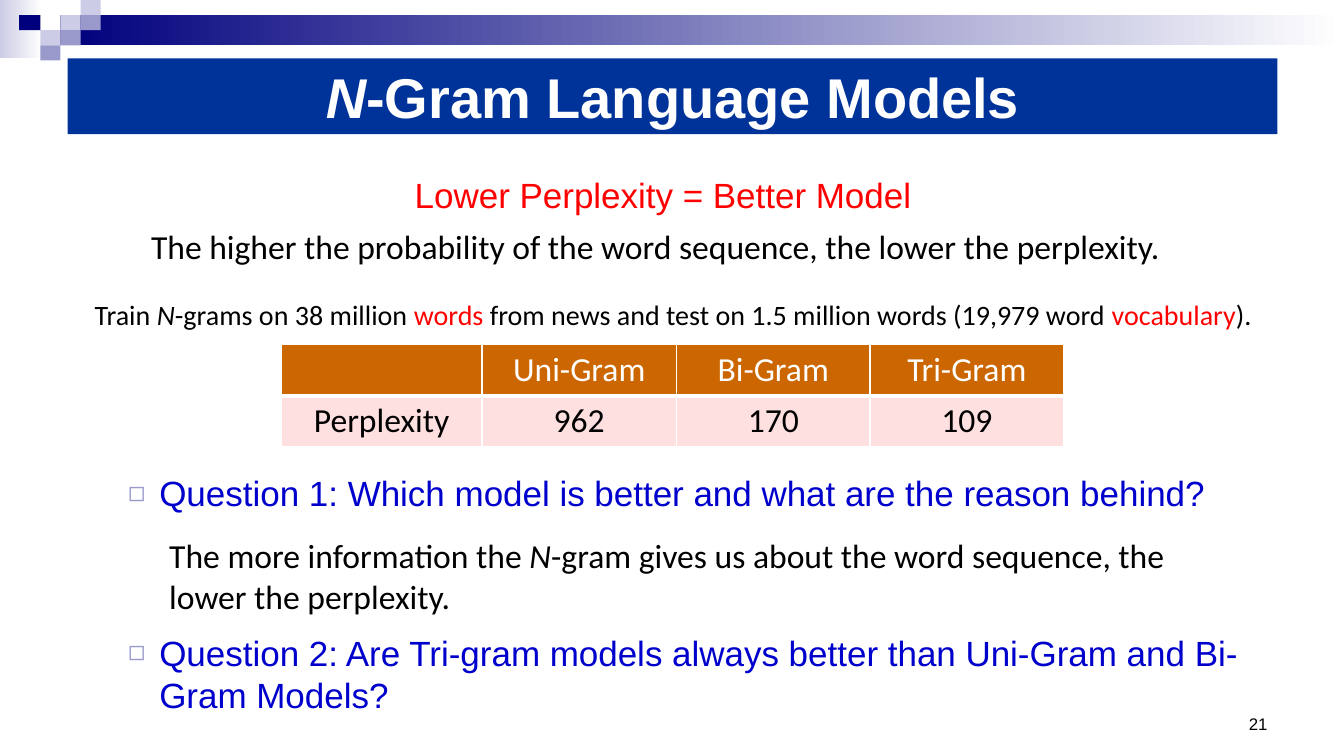
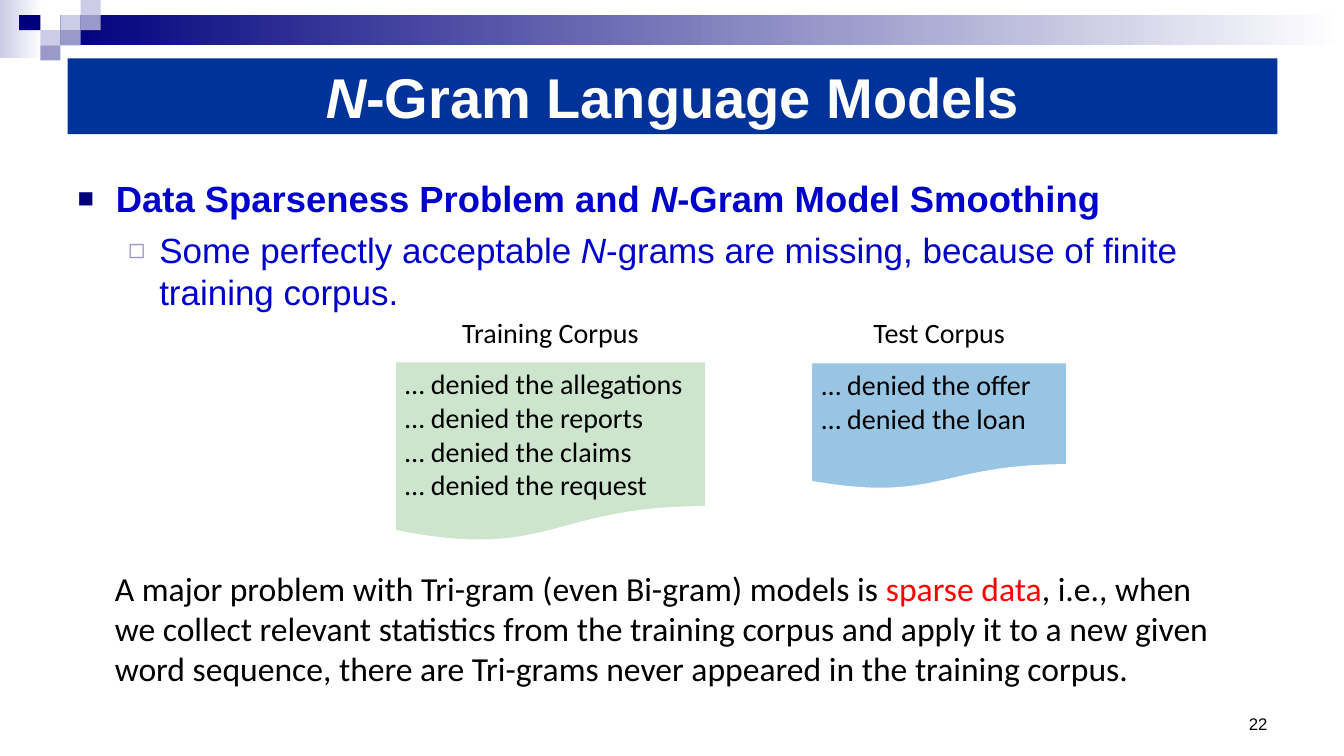
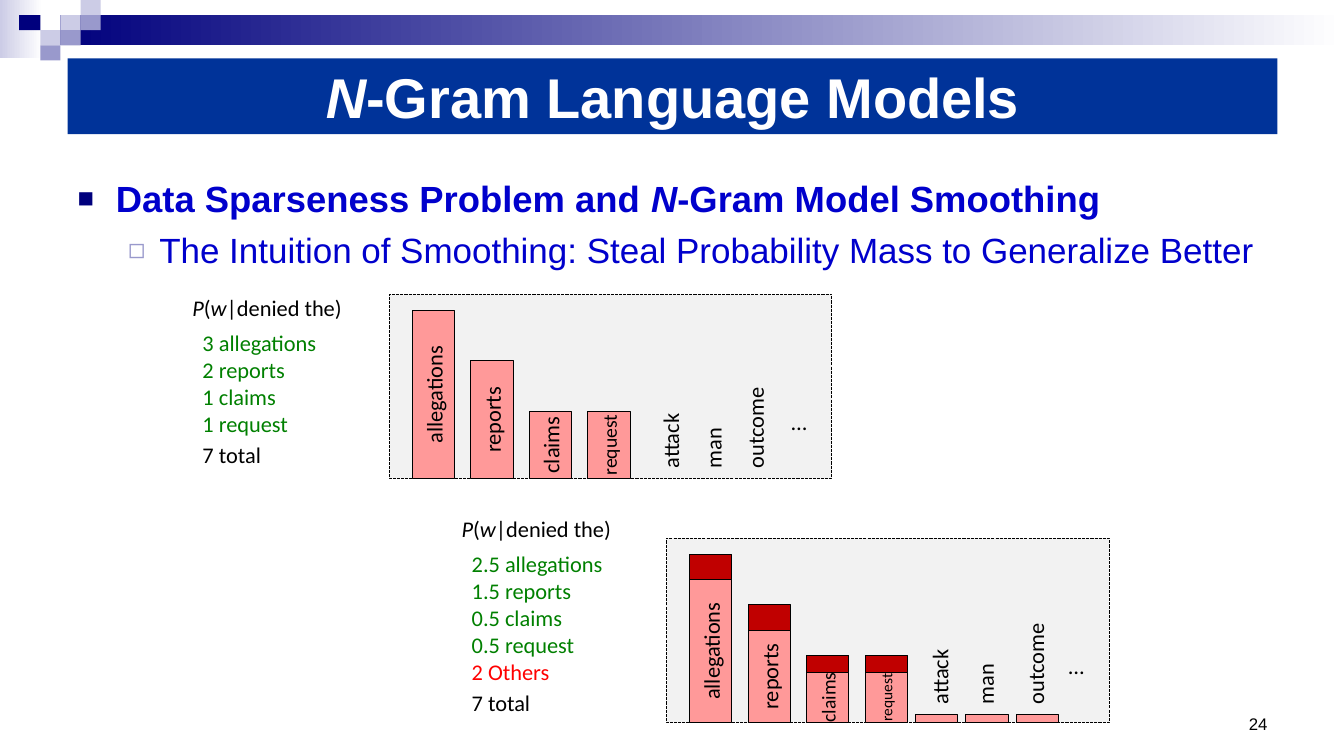
from dataclasses import dataclass
from typing import NamedTuple

from lxml import etree
from pptx import Presentation
from pptx.dml.color import RGBColor
from pptx.enum.dml import MSO_LINE
from pptx.enum.shapes import MSO_SHAPE
from pptx.enum.text import MSO_ANCHOR, MSO_AUTO_SIZE, PP_ALIGN
from pptx.oxml.ns import qn
from pptx.util import Inches, Pt

RECTANGLE = MSO_SHAPE.RECTANGLE
DOCUMENT = MSO_SHAPE.FLOWCHART_DOCUMENT
LEFT, CENTER, RIGHT = PP_ALIGN.LEFT, PP_ALIGN.CENTER, PP_ALIGN.RIGHT
TOP, MIDDLE, BOTTOM = MSO_ANCHOR.TOP, MSO_ANCHOR.MIDDLE, MSO_ANCHOR.BOTTOM
NO_AUTO_SIZE = MSO_AUTO_SIZE.NONE
SHORT_DASH = MSO_LINE.SQUARE_DOT

BLACK = RGBColor(0x00, 0x00, 0x00)
WHITE = RGBColor(0xFF, 0xFF, 0xFF)
RED = RGBColor(0xFF, 0x00, 0x00)
DARK_RED = RGBColor(0xC0, 0x00, 0x00)
SALMON = RGBColor(0xFF, 0x99, 0x99)
PINK = RGBColor(0xFF, 0xCC, 0xCC)
ORANGE = RGBColor(0xCC, 0x66, 0x00)
GREEN = RGBColor(0x00, 0x80, 0x00)
SKY = RGBColor(0x00, 0x70, 0xC0)
BLUE = RGBColor(0x00, 0x00, 0xCC)
TITLE_BLUE = RGBColor(0x00, 0x33, 0x99)
NAVY = RGBColor(0x00, 0x00, 0x7D)
LAVENDER = RGBColor(0x99, 0x99, 0xCC)
PALE_LAVENDER = RGBColor(0xCC, 0xCC, 0xE6)
PANEL_GRAY = RGBColor(0xF2, 0xF2, 0xF2)

HEADING_FONT = "Arial"
TEXT_FONT = "Calibri"


class Box(NamedTuple):
    left: float
    top: float
    width: float
    height: float


class Run(NamedTuple):
    text: str
    italic: bool = False
    color: RGBColor | None = None


class Bullet(NamedTuple):
    character: str
    color: RGBColor
    percent: int


@dataclass(frozen=True)
class Paragraph:
    runs: tuple[Run, ...]
    size: float
    color: RGBColor = BLACK
    font: str = TEXT_FONT
    bold: bool = False
    alignment: PP_ALIGN = LEFT
    before: float = 0
    after: float = 0
    margin: float = 0
    hanging: float = 0
    level: int = 0
    bullet: Bullet | None = None


@dataclass(frozen=True)
class Bar:
    label: str
    height: float
    kept_height: float
    size: float
    kept_size: float


@dataclass(frozen=True)
class Distribution:
    panel: Box
    list_box: Box
    counts: tuple[str, ...]
    others: tuple[str, ...]
    label_centers: tuple[float, ...]
    label_middle: float
    smoothed: bool


SQUARES = (
    (Box(0.6, 0.15, 0.2, 0.15), PALE_LAVENDER),
    (Box(0.8, 0, 0.2, 0.15), PALE_LAVENDER),
    (Box(0.8, 0.15, 0.2, 0.15), LAVENDER),
    (Box(0.4, 0.3, 0.2, 0.15), PALE_LAVENDER),
    (Box(0.19, 0.15, 0.21, 0.15), NAVY),
    (Box(0.6, 0.3, 0.2, 0.15), LAVENDER),
    (Box(0.4, 0.45, 0.2, 0.15), LAVENDER),
)
GRADIENTS = (
    (Box(0, 0, 0.42, 0.58), PALE_LAVENDER),
    (Box(0.6, 0.15, 12.73, 0.3), NAVY),
)
TITLE_BOX = Box(0.67, 0.58, 12, 0.75)
BODY_BOX = Box(0.67, 1.7, 12, 5.33)
NUMBER_BOX = Box(11.11, 6.83, 1.56, 0.5)

BARS = (
    Bar("allegations", 1.67, 1.42, 16, 16),
    Bar("reports", 1.17, 0.92, 16, 16),
    Bar("claims", 0.67, 0.5, 16, 14),
    Bar("request", 0.67, 0.5, 14, 11),
)
BAR_WIDTH = 0.42
FIRST_BAR_CENTER, BAR_PITCH = 0.44, 0.58
FIRST_UNSEEN_CENTER, UNSEEN_PITCH = 2.68, 0.5
UNSEEN_WORDS = ("attack", "man", "outcome")

DISTRIBUTIONS = (
    Distribution(
        Box(3.86, 2.92, 4.39, 1.83), Box(1.81, 2.87, 2.08, 1.88),
        ("3 allegations", "2 reports", "1 claims", "1 request"), (),
        (2.79, 3.21, 3.63), 1.2, False,
    ),
    Distribution(
        Box(6.61, 5.34, 4.39, 1.83), Box(4.48, 5.06, 2.08, 2.11),
        ("2.5 allegations", "1.5 reports", "0.5 claims", "0.5 request"), ("2 Others",),
        (2.71, 3.16, 3.66), 1.12, True,
    ),
)


def place(shape, box: Box) -> None:
    shape.left, shape.top, shape.width, shape.height = (Inches(value) for value in box)


def set_alpha(element, percent: int) -> None:
    color = next(element.iter(qn("a:srgbClr")))
    etree.SubElement(color, qn("a:alpha")).set("val", str(percent * 1000))


def set_bullet(properties, bullet: Bullet) -> None:
    color = etree.SubElement(properties, qn("a:buClr"))
    etree.SubElement(color, qn("a:srgbClr")).set("val", str(bullet.color))
    etree.SubElement(properties, qn("a:buSzPct")).set("val", str(bullet.percent * 1000))
    etree.SubElement(properties, qn("a:buFont")).set("typeface", HEADING_FONT)
    etree.SubElement(properties, qn("a:buChar")).set("char", bullet.character)


def write(text_frame, contents: list[Paragraph], anchor=TOP, wrap: bool = True) -> None:
    text_frame.word_wrap = wrap
    text_frame.vertical_anchor = anchor
    text_frame.auto_size = NO_AUTO_SIZE
    for index, content in enumerate(contents):
        paragraph = text_frame.add_paragraph() if index else text_frame.paragraphs[0]
        paragraph.level = content.level
        paragraph.alignment = content.alignment
        paragraph.space_before = Pt(content.before)
        paragraph.space_after = Pt(content.after)
        properties = paragraph._p.get_or_add_pPr()
        properties.set("marL", str(Inches(content.margin)))
        properties.set("indent", str(Inches(-content.hanging)))
        if content.bullet:
            set_bullet(properties, content.bullet)
        for item in content.runs:
            run = paragraph.add_run()
            run.text = item.text
            run.font.name = content.font
            run.font.size = Pt(content.size)
            run.font.bold = content.bold
            run.font.italic = item.italic
            run.font.color.rgb = item.color or content.color


def plain(text: str, size: float, **style) -> Paragraph:
    return Paragraph((Run(text),), size, **style)


def heading(*runs: Run) -> Paragraph:
    return Paragraph(runs, 26, BLUE, HEADING_FONT, bold=True, before=6, margin=0.38,
                     hanging=0.38, bullet=Bullet("■", NAVY, 75))


def subheading(*runs: Run, before: float = 6) -> Paragraph:
    return Paragraph(runs, 25, BLUE, HEADING_FONT, before=before, margin=0.81,
                     hanging=0.31, level=1, bullet=Bullet("◻", LAVENDER, 80))


def add_box(slide, box: Box, color: RGBColor | None = None, outline: RGBColor | None = None,
            kind=RECTANGLE):
    shape = slide.shapes.add_shape(kind, *(Inches(value) for value in box))
    shape.shadow.inherit = False
    if color is not None:
        shape.fill.solid()
        shape.fill.fore_color.rgb = color
    if outline is None:
        shape.line.fill.background()
    else:
        shape.line.color.rgb = outline
        shape.line.width = Pt(0.75)
    return shape


def add_text(slide, box: Box, *contents: Paragraph, anchor=TOP):
    shape = slide.shapes.add_textbox(*(Inches(value) for value in box))
    write(shape.text_frame, list(contents), anchor)
    return shape


def add_slide(presentation, number: int, body_box: Box, body: list[Paragraph]):
    slide = presentation.slides.add_slide(presentation.slide_layouts[1])
    for box, color in GRADIENTS:
        fill = add_box(slide, box).fill
        fill.gradient()
        fill.gradient_angle = 0
        for stop, stop_color in zip(fill.gradient_stops, (color, WHITE)):
            stop.color.rgb = stop_color
    for box, color in SQUARES:
        add_box(slide, box, color)
    title = slide.shapes.title
    place(title, TITLE_BOX)
    title.fill.solid()
    title.fill.fore_color.rgb = TITLE_BLUE
    title_runs = (Run("N", italic=True), Run("-Gram Language Models"))
    write(title.text_frame, [Paragraph(title_runs, 40, WHITE, HEADING_FONT, bold=True,
                                       alignment=CENTER, before=6)], MIDDLE)
    placeholder = slide.placeholders[1]
    place(placeholder, body_box)
    write(placeholder.text_frame, body)
    add_text(slide, NUMBER_BOX, plain(str(number), 12, font=HEADING_FONT, alignment=RIGHT),
             anchor=BOTTOM)
    return slide


def set_borders(cell, top: float, bottom: float) -> None:
    properties = cell._tc.get_or_add_tcPr()
    widths = (("a:lnL", 1), ("a:lnR", 1), ("a:lnT", top), ("a:lnB", bottom))
    for index, (tag, width) in enumerate(widths):
        line = etree.Element(qn(tag), w=str(Pt(width)))
        fill = etree.SubElement(line, qn("a:solidFill"))
        etree.SubElement(fill, qn("a:srgbClr")).set("val", str(WHITE))
        properties.insert(index, line)


def add_perplexity_table(slide) -> None:
    rows = (("", "Uni-Gram", "Bi-Gram", "Tri-Gram"), ("Perplexity", "962", "170", "109"))
    box = Box(2.79, 3.42, 7.75, 1)
    table = slide.shapes.add_table(2, 4, *(Inches(value) for value in box)).table
    for column, width in zip(table.columns, (1.99, 1.93, 1.92, 1.92)):
        column.width = Inches(width)
    for row_index, row in enumerate(rows):
        header = row_index == 0
        for column_index, text in enumerate(row):
            cell = table.cell(row_index, column_index)
            cell.fill.solid()
            cell.fill.fore_color.rgb = ORANGE if header else PINK
            if not header:
                set_alpha(cell._tc.tcPr, 60)
            set_borders(cell, 1 if header else 3, 3 if header else 1)
            if text:
                cell.text_frame.text = text
                paragraph = cell.text_frame.paragraphs[0]
                paragraph.alignment = CENTER
                font = paragraph.runs[0].font
                font.name, font.size, font.bold = TEXT_FONT, Pt(24), False
                font.color.rgb = WHITE if header else BLACK


def add_corpus(slide, box: Box, caption: str, color: RGBColor, alpha: int,
               endings: tuple[str, ...]) -> None:
    document = add_box(slide, box, color, WHITE, DOCUMENT)
    set_alpha(document.element.spPr, alpha)
    write(document.text_frame, [plain(f"… denied the {ending}", 20) for ending in endings])
    add_text(slide, Box(box.left, 3.08, box.width, 0.44), plain(caption, 20, alignment=CENTER))


def upright(center: float, middle: float, length: float, thickness: float) -> Box:
    return Box(center - length / 2, middle - thickness / 2, length, thickness)


def add_bar(slide, center: float, bottom: float, height: float, color: RGBColor,
            label: str = "", size: float = 16) -> None:
    box = upright(center, bottom - height / 2, height, BAR_WIDTH)
    bar = add_box(slide, box, color, BLACK)
    bar.rotation = 270
    if label:
        write(bar.text_frame, [plain(label, size, alignment=CENTER)], MIDDLE, wrap=False)


def add_distribution(slide, distribution: Distribution) -> None:
    panel = distribution.panel
    bottom = panel.top + panel.height
    formula = (Run("P", italic=True), Run("("), Run("w", italic=True), Run("|denied the)"))
    add_text(
        slide, distribution.list_box,
        Paragraph(formula, 16, after=6),
        *(plain(count, 16, color=GREEN, margin=0.1) for count in distribution.counts),
        *(plain(other, 16, color=RED, margin=0.1) for other in distribution.others),
        plain("7 total", 16, before=3, margin=0.1),
    )
    add_box(slide, panel, PANEL_GRAY, BLACK).line.dash_style = SHORT_DASH
    for index, bar in enumerate(BARS):
        center = panel.left + FIRST_BAR_CENTER + index * BAR_PITCH
        if distribution.smoothed:
            add_bar(slide, center, bottom, bar.height, DARK_RED)
            add_bar(slide, center, bottom, bar.kept_height, SALMON, bar.label, bar.kept_size)
        else:
            add_bar(slide, center, bottom, bar.height, SALMON, bar.label, bar.size)
    for index, word in enumerate(UNSEEN_WORDS):
        label_center = panel.left + distribution.label_centers[index]
        label_box = upright(label_center, panel.top + distribution.label_middle, 1.25, 0.37)
        add_text(slide, label_box, plain(word, 16)).rotation = 270
        if distribution.smoothed:
            center = panel.left + FIRST_UNSEEN_CENTER + index * UNSEEN_PITCH
            add_bar(slide, center, bottom, 0.08, SALMON)
    add_text(slide, Box(panel.left + 3.89, panel.top + 1.08, 0.58, 0.37), plain("…", 16))


def build_perplexity_slide(presentation) -> None:
    questions = [
        subheading(Run("Question 1: Which model is better and what are the reason behind?")),
        subheading(Run("Question 2: Are Tri-gram models always better than Uni-Gram and "
                       "Bi-Gram Models?"), before=84),
    ]
    slide = add_slide(presentation, 21, Box(0.67, 4.63, 12, 2.62), questions)
    add_text(slide, Box(1.4, 2.19, 10.33, 0.5), plain(
        "The higher the probability of the word sequence, the lower the perplexity.", 24))
    add_text(slide, Box(3.95, 1.67, 5.25, 0.52), plain(
        "Lower Perplexity = Better Model", 25, color=RED, font=HEADING_FONT, alignment=CENTER))
    add_text(slide, Box(0.84, 2.9, 11.68, 0.44), Paragraph((
        Run("Train "), Run("N", italic=True), Run("-grams on 38 million "),
        Run("words", color=RED),
        Run(" from news and test on 1.5 million words (19,979 word "),
        Run("vocabulary", color=RED), Run(")."),
    ), 20))
    add_perplexity_table(slide)
    add_text(slide, Box(1.58, 5.26, 10.31, 0.91), Paragraph((
        Run("The more information the "), Run("N", italic=True),
        Run("-gram gives us about the word sequence, the lower the perplexity."),
    ), 24))


def build_sparseness_slide(presentation, smoothing_heading: Paragraph) -> None:
    slide = add_slide(presentation, 22, BODY_BOX, [smoothing_heading, subheading(
        Run("Some perfectly acceptable "), Run("N", italic=True),
        Run("-grams are missing, because of finite training corpus."))])
    add_text(slide, Box(1.04, 5.58, 11.25, 1.31), Paragraph((
        Run("A major problem with Tri-gram (even Bi-gram) models is "),
        Run("sparse data", color=RED),
        Run(", i.e., when we collect relevant statistics from the training corpus and apply "
            "it to a new given word sequence, there are Tri-grams never appeared in the "
            "training corpus."),
    ), 24))
    add_corpus(slide, Box(3.92, 3.59, 3.08, 1.79), "Training Corpus", GREEN, 20,
               ("allegations", "reports", "claims", "request"))
    add_corpus(slide, Box(8.05, 3.6, 2.53, 1.26), "Test Corpus", SKY, 40, ("offer", "loan"))


def build_smoothing_slide(presentation, smoothing_heading: Paragraph) -> None:
    slide = add_slide(presentation, 24, BODY_BOX, [smoothing_heading, subheading(
        Run("The Intuition of Smoothing: Steal Probability Mass to Generalize Better"))])
    for distribution in DISTRIBUTIONS:
        add_distribution(slide, distribution)


def main() -> None:
    presentation = Presentation()
    presentation.slide_width, presentation.slide_height = Inches(13.33), Inches(7.5)
    smoothing_heading = heading(Run("Data Sparseness Problem and "), Run("N", italic=True),
                                Run("-Gram Model Smoothing"))
    build_perplexity_slide(presentation)
    build_sparseness_slide(presentation, smoothing_heading)
    build_smoothing_slide(presentation, smoothing_heading)
    presentation.save("out.pptx")


if __name__ == "__main__":
    main()
